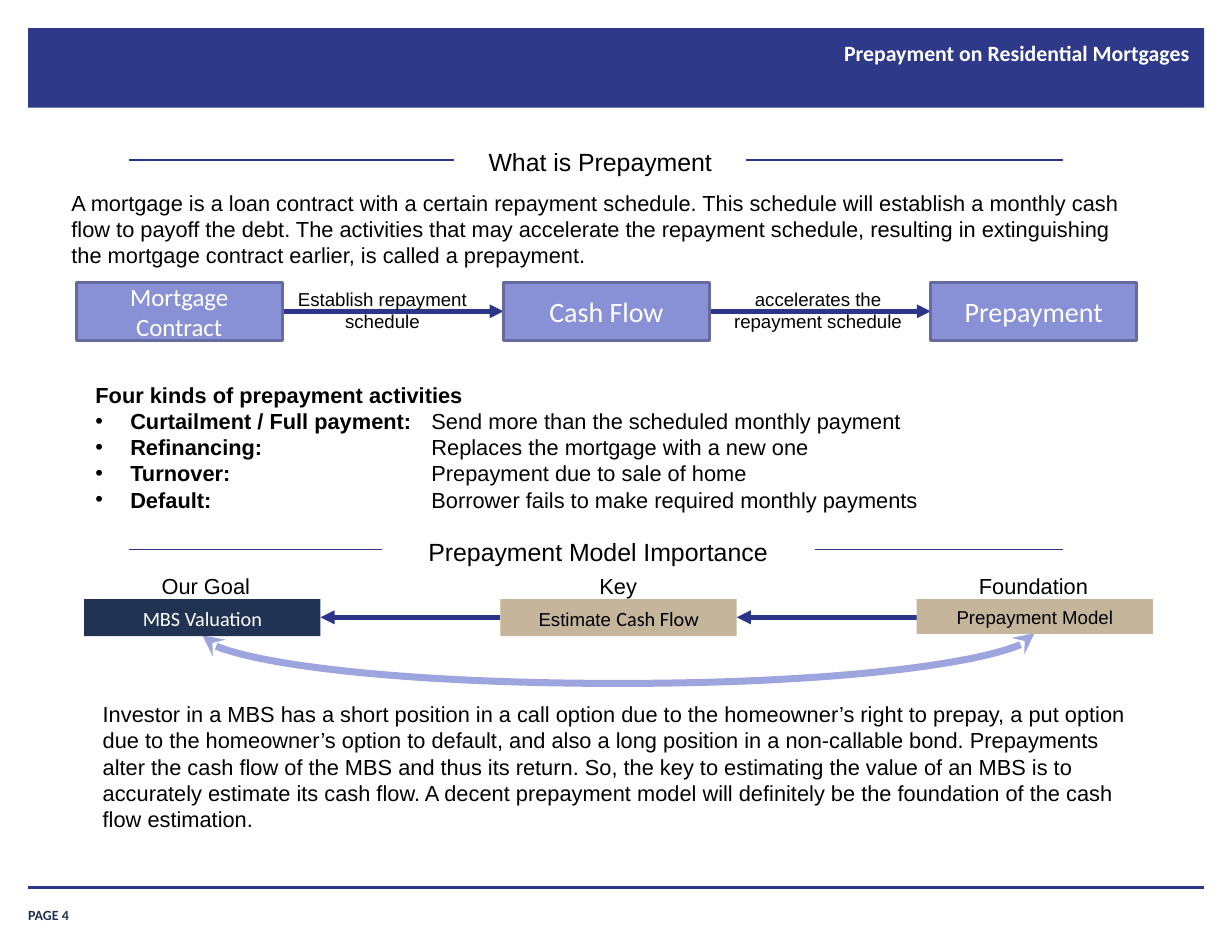
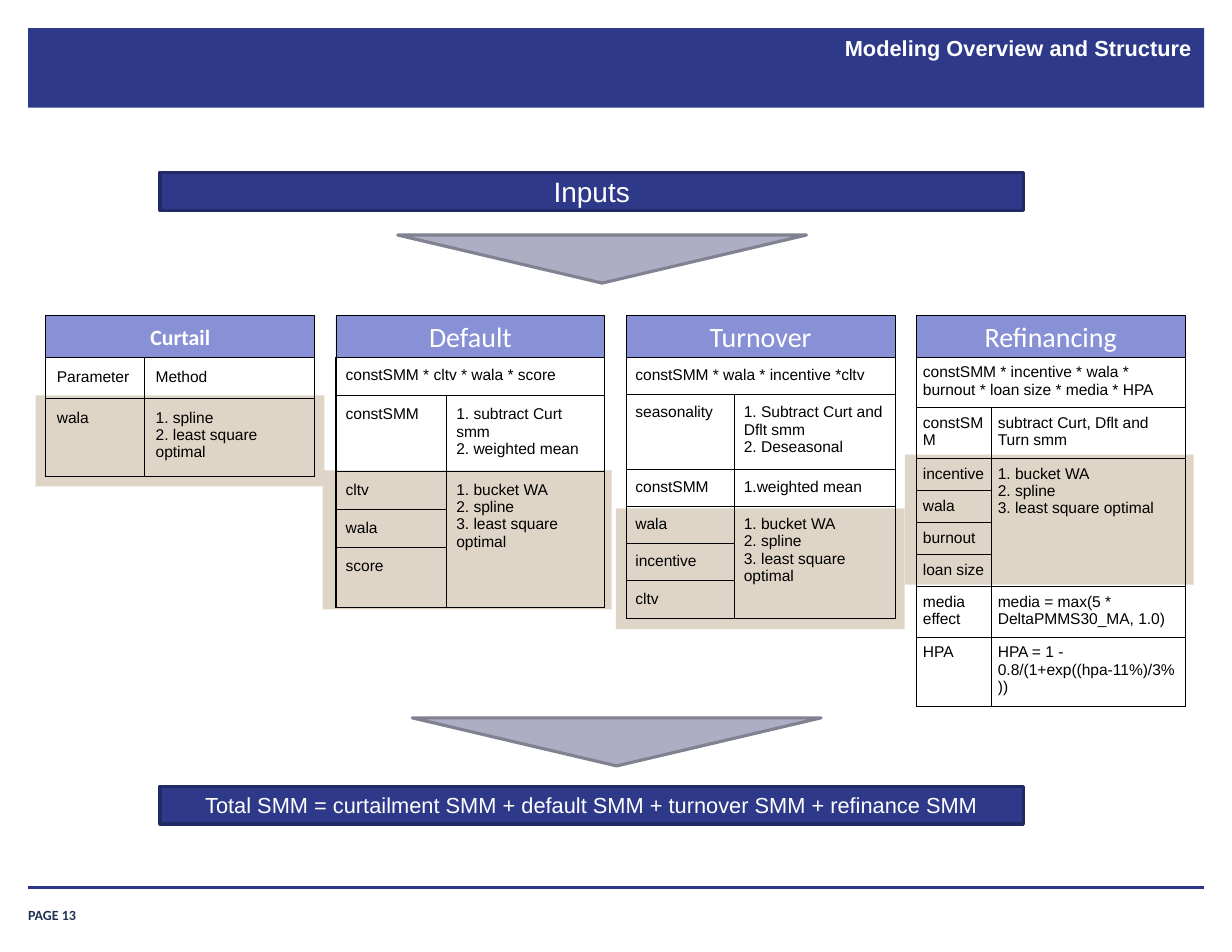
from collections import namedtuple

from lxml import etree
from pptx import Presentation
from pptx.dml.color import RGBColor
from pptx.enum.shapes import MSO_CONNECTOR, MSO_SHAPE
from pptx.enum.text import MSO_ANCHOR, MSO_AUTO_SIZE, PP_ALIGN
from pptx.oxml.ns import qn
from pptx.util import Cm, Pt

LEFT, CENTER, RIGHT = PP_ALIGN.LEFT, PP_ALIGN.CENTER, PP_ALIGN.RIGHT
TOP, MIDDLE, BOTTOM = MSO_ANCHOR.TOP, MSO_ANCHOR.MIDDLE, MSO_ANCHOR.BOTTOM
RECTANGLE, TRIANGLE = MSO_SHAPE.RECTANGLE, MSO_SHAPE.ISOSCELES_TRIANGLE
STRAIGHT, CURVE = MSO_CONNECTOR.STRAIGHT, MSO_CONNECTOR.CURVE
NO_FIT = MSO_AUTO_SIZE.NONE

Style = namedtuple("Style", "size font colour bold", defaults=[False])


class Theme:
    white = RGBColor(0xFF, 0xFF, 0xFF)
    black = RGBColor(0x00, 0x00, 0x00)
    band = RGBColor(0x2E, 0x39, 0x8A)
    band_edge = RGBColor(0x22, 0x2A, 0x66)
    line = RGBColor(0x2B, 0x36, 0x89)
    curve = RGBColor(0x9D, 0xA5, 0xDE)
    navy = RGBColor(0x20, 0x33, 0x53)
    lilac = RGBColor(0x88, 0x91, 0xD5)
    lilac_edge = RGBColor(0x65, 0x6B, 0x9E)
    tan = RGBColor(0xC4, 0xB5, 0x9B)
    sand = RGBColor(0xDE, 0xD5, 0xC7)
    grey = RGBColor(0xAD, 0xAE, 0xC4)
    grey_edge = RGBColor(0x80, 0x81, 0x91)

    title = Style(14, "Calibri", white, True)
    title_arial = Style(14, "Arial", white, True)
    footer = Style(9, "Calibri", navy, True)
    heading = Style(16, "Arial", black)
    body = Style(14, "Arial", black)
    body_bold = Style(14, "Arial", black, True)
    label = Style(12, "Arial", black)
    label_calibri = Style(13, "Calibri", black)
    goal = Style(13, "Calibri", white)
    step_small = Style(16, "Calibri", white)
    step = Style(18, "Calibri", white)
    bar = Style(18, "Arial", white)
    total = Style(14, "Arial", white)
    cell = Style(10, "Arial", black)


def write(frame, paragraphs, align=LEFT):
    for number, spans in enumerate(paragraphs):
        para = frame.add_paragraph() if number else frame.paragraphs[0]
        para.alignment = align
        para.space_before = Pt(0)
        for text, style in spans:
            span = para.add_run()
            span.text = text
            span.font.size = Pt(style.size)
            span.font.name = style.font
            span.font.bold = style.bold
            span.font.color.rgb = style.colour


def add_box(page, kind, at, fill=None, edge=None, width=2, paragraphs=(),
            align=CENTER, anchor=TOP, inset=(0.25, 0.13)):
    place = [Cm(length) for length in at]
    if kind is None:
        box = page.shapes.add_textbox(*place)
    else:
        box = page.shapes.add_shape(kind, *place)
        box.shadow.inherit = False
        box.fill.solid()
        box.fill.fore_color.rgb = fill
        if edge is None:
            box.line.fill.background()
        else:
            box.line.color.rgb = edge
            box.line.width = Pt(width)
    frame = box.text_frame
    frame.word_wrap = True
    frame.vertical_anchor = anchor
    frame.margin_left = frame.margin_right = Cm(inset[0])
    frame.margin_top = frame.margin_bottom = Cm(inset[1])
    write(frame, paragraphs, align)
    return box


deck = Presentation()
deck.slide_width, deck.slide_height = Cm(27.94), Cm(21.59)
prepayment = deck.slides.add_slide(deck.slide_layouts[1])
modeling = deck.slides.add_slide(deck.slide_layouts[5])

titles = [
    (prepayment, "Prepayment on Residential Mortgages", Theme.title, (7.04, 0.76, 20.22, 1.78), "PAGE 4"),
    (modeling, "Modeling Overview and Structure", Theme.title_arial, (8.41, 0.64, 18.9, 1.88), "PAGE 13"),
]
for page, text, style, at, number in titles:
    title = page.shapes.title
    title.left, title.top, title.width, title.height = [Cm(length) for length in at]
    frame = title.text_frame
    frame.auto_size = NO_FIT
    frame.vertical_anchor = TOP
    frame.margin_left = frame.margin_right = Cm(0.28)
    frame.margin_top = frame.margin_bottom = Cm(0.15)
    write(frame, [[(text, style)]], RIGHT)
    add_box(page, None, (0.64, 20.37, 2.31, 0.58), paragraphs=[[(number, Theme.footer)]],
            align=LEFT, anchor=BOTTOM, inset=(0, 0))

flow_left, flow_step, flow_width = 1.73, 9.69, 4.67
goal_left, goal_step, goal_width = 1.91, 9.44, 5.36
flow_lefts = [flow_left + flow_step * i for i in range(3)]
goal_lefts = [goal_left + goal_step * i for i in range(3)]

curve_width, curve_depth = 0.05, 1.14
lines = [
    (STRAIGHT, (0.64, 20.12, 27.31, 20.12), Theme.line, 2, {}),
    (STRAIGHT, (2.92, 3.63, 24.1, 3.63), Theme.line, 0.75, {}),
    (STRAIGHT, (2.92, 12.47, 24.1, 12.47), Theme.line, 0.75, {}),
    (CURVE, (14, 4.95, 14 + curve_width, 23.82), Theme.curve, 4.5,
     {"headEnd": "stealth", "tailEnd": "stealth"}),
]
for i in range(2):
    lines.append((STRAIGHT, (flow_lefts[i] + flow_width, 7.06, flow_lefts[i + 1], 7.06),
                  Theme.line, 3, {"tailEnd": "triangle"}))
    lines.append((STRAIGHT, (goal_lefts[i + 1], 14, goal_lefts[i] + goal_width, 14),
                  Theme.line, 3, {"tailEnd": "triangle"}))

connectors = []
for kind, ends, colour, width, arrows in lines:
    connector = prepayment.shapes.add_connector(kind, *[Cm(length) for length in ends])
    connector.line.color.rgb = colour
    connector.line.width = Pt(width)
    for end, arrow in arrows.items():
        etree.SubElement(connector.line._get_or_add_ln(), qn("a:" + end), type=arrow)
    etree.SubElement(connector.element.spPr, qn("a:effectLst"))
    if kind == CURVE:
        connector.rotation = 90
        bend = round(100000 * curve_depth / curve_width)
        etree.SubElement(connector.element.xpath(".//a:avLst")[0], qn("a:gd"),
                         name="adj1", fmla=f"val {bend}")
    connectors.append(connector)

band = add_box(prepayment, RECTANGLE, (0.64, 0.64, 26.67, 1.8), Theme.band)
for number, shared in enumerate([band, connectors[0]], 101):
    shared.element.xpath(".//p:cNvPr")[0].set("id", str(number))
    deck.slide_master.shapes.element.append(shared.element)

headings = [
    ("What is Prepayment", (10.34, 3.2, 6.55, 0.94)),
    ("Prepayment Model Importance", (8.69, 12.04, 9.75, 0.94)),
]
for text, at in headings:
    add_box(prepayment, RECTANGLE, at, Theme.white, Theme.white,
            paragraphs=[[(text, Theme.heading)]])

passages = [
    ("A mortgage is a loan contract with a certain repayment schedule. This schedule will establish "
     "a monthly cash flow to payoff the debt. The activities that may accelerate the repayment "
     "schedule, resulting in extinguishing the mortgage contract earlier, is called a prepayment.",
     (1.37, 4.17, 24.77, 2.06)),
    ("Investor in a MBS has a short position in a call option due to the homeowner’s right to prepay, "
     "a put option due to the homeowner’s option to default, and also a long position in a "
     "non-callable bond. Prepayments alter the cash flow of the MBS and thus its return. So, the key "
     "to estimating the value of an MBS is to accurately estimate its cash flow. A decent prepayment "
     "model will definitely be the foundation of the cash flow estimation.",
     (2.08, 15.77, 23.9, 3.25)),
]
for text, at in passages:
    add_box(prepayment, None, at, paragraphs=[[(text, Theme.body)]], align=LEFT)

steps = [("Mortgage Contract", Theme.step_small), ("Cash Flow", Theme.step), ("Prepayment", Theme.step)]
for left, step in zip(flow_lefts, steps):
    add_box(prepayment, RECTANGLE, (left, 6.4, flow_width, 1.32), Theme.lilac, Theme.lilac_edge,
            paragraphs=[[step]], anchor=MIDDLE)
for left, text in [(6.4, "Establish repayment schedule"), (16.28, "accelerates the repayment schedule")]:
    add_box(prepayment, None, (left, 6.4, 4.55, 1.27), paragraphs=[[(text, Theme.label)]])

activities = [
    ("Curtailment / Full payment:", "Send more than the scheduled monthly payment"),
    ("Refinancing:", "Replaces the mortgage with a new one"),
    ("Turnover:", "Prepayment due to sale of home"),
    ("Default:", "Borrower fails to make required monthly payments"),
]
body = prepayment.placeholders[1]
body.left, body.top, body.width, body.height = Cm(1.91), Cm(8.53), Cm(24.23), Cm(3.25)
body.text_frame.auto_size = NO_FIT
write(body.text_frame, [[("Four kinds of prepayment activities", Theme.body_bold)]] + [
    [(name, Theme.body_bold), ("\t" + meaning, Theme.body)] for name, meaning in activities])
for number, para in enumerate(body.text_frame.paragraphs):
    properties = para._p.get_or_add_pPr()
    indent = Cm(0.79) if number else 0
    properties.set("marL", str(indent))
    properties.set("indent", str(-indent))
    properties.set("defTabSz", str(Cm(7.62)))
    if number:
        etree.SubElement(properties, qn("a:buFont"), typeface="Arial")
        etree.SubElement(properties, qn("a:buChar"), char="•")
    else:
        etree.SubElement(properties, qn("a:buNone"))

goals = [
    ("Our Goal", 2.69, Theme.navy, 0.84, [("MBS Valuation", Theme.goal)]),
    ("Key", 12.04, Theme.tan, 0.84, [("Estimate ", Theme.label), ("Cash Flow", Theme.label_calibri)]),
    ("Foundation", 21.46, Theme.tan, 0.79, [("Prepayment Model", Theme.label)]),
]
for left, (caption, caption_left, fill, height, spans) in zip(goal_lefts, goals):
    add_box(prepayment, RECTANGLE, (left, 13.59, goal_width, height), fill,
            paragraphs=[spans], inset=(0.28, 0.15))
    add_box(prepayment, None, (caption_left, 12.85, 3.96, 0.86), paragraphs=[[(caption, Theme.body)]])

for left, top, height in [(0.81, 8.97, 2.06), (7.32, 10.67, 3.15), (13.97, 11.53, 2.74), (20.52, 10.31, 2.95)]:
    add_box(modeling, RECTANGLE, (left, top, 6.55, height), Theme.sand)

bars = [
    (3.91, "Inputs", Theme.bar),
    (17.83, "Total SMM = curtailment SMM + default SMM + turnover SMM + refinance SMM", Theme.total),
]
for top, text, style in bars:
    add_box(modeling, RECTANGLE, (3.63, top, 19.58, 0.86), Theme.band, Theme.band_edge,
            paragraphs=[[(text, style)]], anchor=MIDDLE)
for left, top in [(9.02, 5.33), (9.35, 16.28)]:
    add_box(modeling, TRIANGLE, (left, top, 9.27, 1.09), Theme.grey, Theme.grey_edge).rotation = 180

fitting = "1. bucket WA\n2. spline\n3. least square optimal"
models = [
    ("Curtail", Theme.title, 0.25, 2.24, [
        (0.93, "Parameter", "Method"),
        (1.7, "wala", "1. spline\n2. least square optimal")]),
    ("Default", Theme.step, 0.22, 2.51, [
        (0.88, "constSMM * cltv * wala * score", None),
        (1.63, "constSMM", "1. subtract Curt smm\n2. weighted mean"),
        (0.84, "cltv", fitting),
        (0.84, "wala", None),
        (1.36, "score", None)]),
    ("Turnover", Theme.step, 0.21, 2.46, [
        (0.82, "constSMM * wala * incentive *cltv", None),
        (1.63, "seasonality", "1. Subtract Curt and Dflt smm\n2. Deseasonal"),
        (0.82, "constSMM", "1.weighted mean"),
        (0.84, "wala", fitting),
        (0.82, "incentive", None),
        (0.82, "cltv", None)]),
    ("Refinancing", Theme.step, 0.15, 1.7, [
        (1.09, "constSMM * incentive * wala * burnout * loan size * media * HPA", None),
        (1.07, "constSMM", "subtract Curt, Dflt and Turn smm"),
        (0.68, "incentive", fitting),
        (0.7, "wala", None),
        (0.68, "burnout", None),
        (0.68, "loan size", None),
        (1.07, "media effect", "media = max(5 * DeltaPMMS30_MA, 1.0)"),
        (1.47, "HPA", "HPA = 1 - 0.8/(1+exp((hpa-11%)/3%))")]),
]
model_width = 6.1
for i, (name, style, inset, first_width, rows) in enumerate(models):
    left = 1.04 + 6.58 * i
    height = sum(row[0] for row in rows)
    grid = modeling.shapes.add_table(len(rows), 2, Cm(left), Cm(8.1), Cm(model_width), Cm(height)).table
    grid.first_row = grid.horz_banding = False
    grid.columns[0].width = Cm(first_width)
    grid.columns[1].width = Cm(model_width - first_width)
    for r, (row_height, *texts) in enumerate(rows):
        grid.rows[r].height = Cm(row_height)
        for c, text in enumerate(texts):
            cell = grid.cell(r, c)
            cell.margin_left = cell.margin_right = cell.margin_top = cell.margin_bottom = Cm(inset)
            if text:
                write(cell.text_frame, [[(part, Theme.cell)] for part in text.split("\n")])
            properties = cell._tc.get_or_add_tcPr()
            for side in ("lnL", "lnR", "lnT", "lnB"):
                border = etree.SubElement(properties, qn("a:" + side), w=str(Pt(0.75)))
                solid = etree.SubElement(border, qn("a:solidFill"))
                etree.SubElement(solid, qn("a:srgbClr"), val=str(Theme.black))
            cell.fill.background()
    if rows[0][2] is None:
        grid.cell(0, 0).merge(grid.cell(0, 1))
    covered = [r for r, row in enumerate(rows) if r and row[2] is None]
    if covered:
        grid.cell(covered[0] - 1, 1).merge(grid.cell(covered[-1], 1))
    add_box(modeling, RECTANGLE, (left, 7.16, model_width, 0.94), Theme.lilac, Theme.black, 0.5,
            paragraphs=[[(name, style)]], anchor=MIDDLE)

deck.save("out.pptx")
